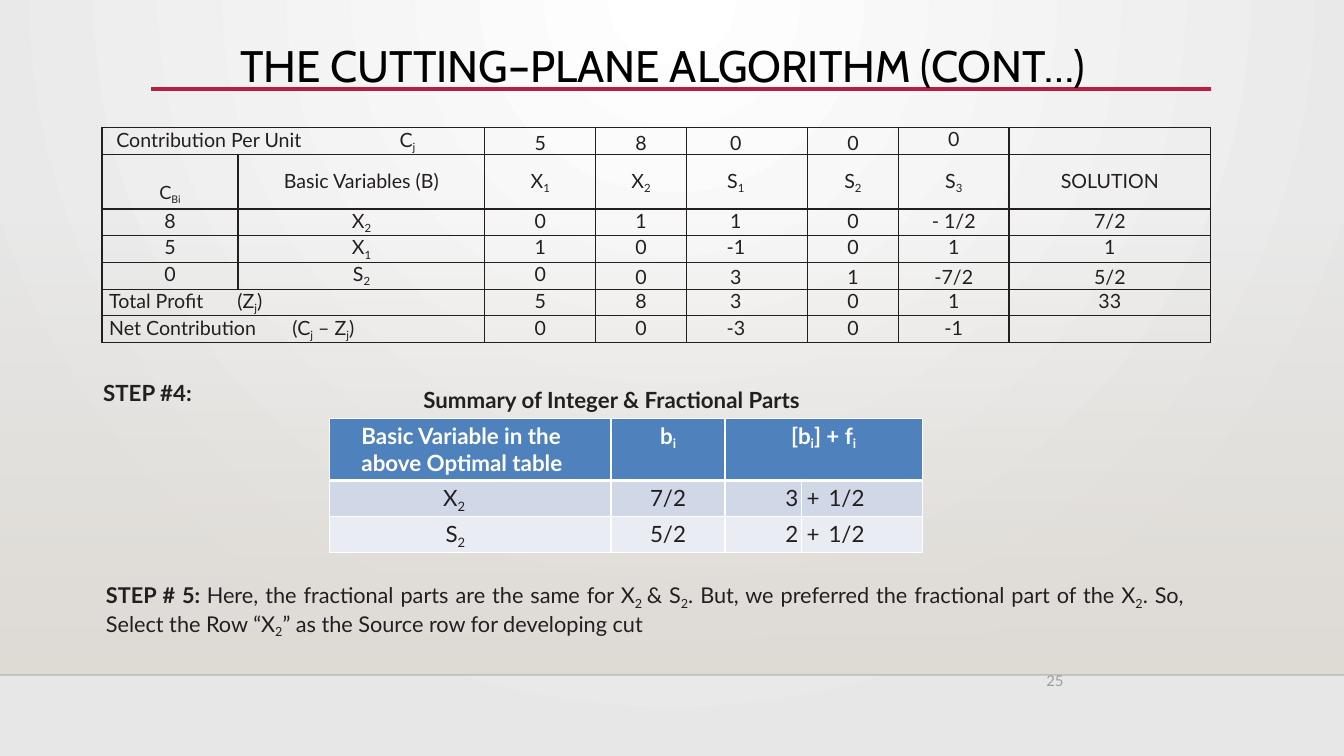
import collections

import pptx
import pptx.dml.color
import pptx.enum.shapes
import pptx.enum.text
import pptx.oxml
import pptx.oxml.ns
import pptx.util

Cm, Pt, qn = pptx.util.Cm, pptx.util.Pt, pptx.oxml.ns.qn
ALIGN = pptx.enum.text.PP_ALIGN
Box = collections.namedtuple("Box", "left top width height")
INK, WHITE = "231F20", "FFFFFF"
NS = 'xmlns:a="http://schemas.openxmlformats.org/drawingml/2006/main"'


def rgb(value):
    return pptx.dml.color.RGBColor.from_string(value)


def set_insets(holder, left, top, right, bottom):
    """Set the margins of a text frame or a table cell."""
    holder.margin_left, holder.margin_top = Cm(left), Cm(top)
    holder.margin_right, holder.margin_bottom = Cm(right), Cm(bottom)


def write(tf, text, size=14, font="Lato", color=INK, bold=False, lead="",
          align=ALIGN.LEFT, tab=None, line=None):
    """Fill tf; ~ marks off subscripts, lead is a bold opening."""
    tf.word_wrap = True
    p = tf.paragraphs[0]
    p.alignment = align
    if line:
        p.line_spacing = Pt(line)
    if tab:
        p._p.get_or_add_pPr().append(pptx.oxml.parse_xml(
            f'<a:tabLst {NS}><a:tab pos="{Cm(tab)}" algn="l"/></a:tabLst>'))
    pieces = [(lead, False, True)]
    pieces += [(part, i % 2 == 1, bold) for i, part in enumerate(text.split("~"))]
    for part, is_sub, is_bold in pieces:
        if not part:
            continue
        r = p.add_run()
        r.text = part
        r.font.name, r.font.size, r.font.bold = font, Pt(size), is_bold
        r.font.color.rgb = rgb(color)
        if is_sub:
            r.font._element.set("baseline", "-21000")
    p._p.append(pptx.oxml.parse_xml(f'<a:endParaRPr {NS} sz="{round(size * 100)}"/>'))


def add_text(s, box, text, left=0.03, right=0, **fmt):
    tf = s.shapes.add_textbox(*map(Cm, box)).text_frame
    set_insets(tf, left, 0.03, right, 0)
    write(tf, text, **fmt)


def add_line(s, left, right, y, color, width, alpha=100):
    sp = s.shapes.add_connector(pptx.enum.shapes.MSO_CONNECTOR.STRAIGHT,
                                Cm(left), Cm(y), Cm(right), Cm(y))
    sp.line.color.rgb, sp.line.width = rgb(color), Pt(width)
    sp._element.spPr.find(".//" + qn("a:srgbClr")).append(
        pptx.oxml.parse_xml(f'<a:alpha {NS} val="{alpha * 1000}"/>'))
    sp._element.spPr.append(pptx.oxml.parse_xml(f"<a:effectLst {NS}/>"))


def gradient(start, end, direction, start_alpha=100):
    return pptx.oxml.parse_xml(
        f'<a:gradFill {NS} rotWithShape="1"><a:gsLst>'
        f'<a:gs pos="0"><a:srgbClr val="{start}"><a:alpha val="{start_alpha * 1000}"/></a:srgbClr></a:gs>'
        f'<a:gs pos="100000"><a:srgbClr val="{end}"/></a:gs></a:gsLst>{direction}</a:gradFill>')


def add_backdrop(s, box):
    s.background.fill.solid()
    bg = s._element.find(".//" + qn("p:bgPr"))
    glow = ('<a:path path="circle"><a:fillToRect l="43000" t="0" r="43000" b="100000"/>'
            '</a:path>')
    bg.replace(bg[0], gradient(WHITE, "E7E7E7", glow))
    wall = s.shapes.add_shape(pptx.enum.shapes.MSO_SHAPE.RECTANGLE, *map(Cm, box))
    wall.shadow.inherit = False
    wall.line.fill.background()
    wall.fill.background()
    spPr = wall._element.spPr
    spPr.replace(spPr.find(qn("a:noFill")),
                 gradient("DFDBD5", "DFDBD5", '<a:lin ang="5400000" scaled="0"/>', 0))
    add_line(s, box.left, box.left + box.width, box.top + box.height, "000001", 1, 20)


def set_borders(cell, color, **widths):
    """Draw the sides L, R, T and B in the given points; 0 hides a side."""
    tcPr = cell._tc.get_or_add_tcPr()
    for side in "LRTB":
        width = widths.get(side, 1)
        paint = f'<a:solidFill><a:srgbClr val="{color}"/></a:solidFill>' if width else "<a:noFill/>"
        tcPr.append(pptx.oxml.parse_xml(
            f'<a:ln{side} {NS} w="{Pt(width)}">{paint}</a:ln{side}>'))


def add_grid(s, box, widths, heights):
    table = s.shapes.add_table(len(heights), len(widths), *map(Cm, box)).table
    table.first_row = table.horz_banding = False
    for column, width in zip(table.columns, widths):
        column.width = Cm(width)
    for row, height in zip(table.rows, heights):
        row.height = Cm(height)
    return table


def add_simplex_table(s, box):
    rows = [
        ["Contribution Per Unit\tC~j~", None, "5", "8", "0", "0", "0", ""],
        ["C~Bi~", "Basic Variables (B)", "X~1~", "X~2~", "S~1~", "S~2~", "S~3~", "SOLUTION"],
        ["8", "X~2~", "0", "1", "1", "0", "- 1/2", "7/2"],
        ["5", "X~1~", "1", "0", "-1", "0", "1", "1"],
        ["0", "S~2~", "0", "0", "3", "1", "-7/2", "5/2"],
        ["Total Profit\t(Z~j~)", None, "5", "8", "3", "0", "1", "33"],
        ["Net Contribution\t(C~j~ – Z~j~)", None, "0", "0", "-3", "0", "-1", ""],
    ]
    label_tabs = {0: (0.36, 7.14), 5: (0.18, 3.23), 6: (0.18, 4.62)}
    table = add_grid(s, box, [3.43, 6.22, 2.79, 2.29, 3.05, 2.29, 2.79, 5.08],
                     [0.67, 1.38] + [0.67] * 5)
    for i, row in enumerate(rows):
        for j, text in enumerate(row):
            cell = table.cell(i, j)
            set_borders(cell, INK)
            cell.fill.background()
            left, tab = label_tabs.get(i, (0, None)) if j == 0 else (0, None)
            is_corner = (i, j) == (1, 0)
            top = 0.69 if is_corner else 0.38 if i == 1 else 0
            set_insets(cell, left, top, 0.56 if j == 4 else 0, 0)
            if text is None:
                continue
            loose = (i == 0 and j < 6) or (i == 4 and j > 2)
            write(cell.text_frame, text, size=13 if is_corner else 14, tab=tab,
                  align=ALIGN.LEFT if tab else ALIGN.CENTER, line=19.2 if loose else None)
    for i in label_tabs:
        table.cell(i, 0).merge(table.cell(i, 1))


def add_fraction_table(s, box):
    rows = [
        ["Basic Variable in the above Optimal table", "b~i~", "[b~i~] + f~i~", None, None],
        ["X~2~", "7/2", "3", "+", "1/2"],
        ["S~2~", "5/2", "2", "+", "1/2"],
    ]
    fills = ["4F81BD", "D0D7E7", "E9ECF3"]
    aligns = [ALIGN.RIGHT, ALIGN.CENTER, ALIGN.RIGHT, ALIGN.CENTER, ALIGN.LEFT]
    sides = [(0, 3.68), (0, 0), (0, 0.08), (0, 0), (0.1, 0)]
    table = add_grid(s, box, [7.09, 2.87, 1.93, 0.58, 2.46], [1.57, 0.91, 0.91])
    for i, row in enumerate(rows):
        for j, text in enumerate(row):
            cell = table.cell(i, j)
            set_borders(cell, WHITE, T=3 if i == 1 else 1, B=3 if i == 0 else 1,
                        R=0 if j == 3 else 1, L=0 if j == 4 else 1)
            cell.fill.solid()
            cell.fill.fore_color.rgb = rgb(fills[i])
            align, (left, right) = aligns[j], sides[j]
            if i == 0:
                align = ALIGN.CENTER if j else ALIGN.LEFT
                left, right = (0, 0) if j else (0.8, 1)
            set_insets(cell, left, 0.1, right, 0)
            if text is not None:
                write(cell.text_frame, text, size=16, bold=i == 0, align=align,
                      color=INK if i else WHITE)
    table.cell(0, 2).merge(table.cell(0, 4))


def add_title(s, box):
    add_line(s, 3.81, 30.51, box.top + 1.3, "B71E42", 2.5)
    add_text(s, box, "THE CUTTING–PLANE ALGORITHM (CONT…)", size=31.5, font="Cabin",
             color="000000")


def add_steps(s, box):
    """Place both steps and the summary caption in the box."""
    label = {"size": 15.9, "bold": True}
    add_text(s, Box(box.left, box.top, 2.67, 0.71), "STEP #4:", **label)
    add_text(s, Box(box.left + 8.07, box.top + 0.18, 10.95, 0.71),
             "Summary of Integer & Fractional Parts", **label)
    add_text(s, Box(box.left, box.top + 5.1, box.width, 1.35),
             "Here, the fractional parts are the same for X~2 ~& S~2~. But, we preferred the "
             "fractional part of the X~2~. So, Select the Row “X~2~” as the Source row for "
             "developing cut", left=0.1, right=0.4, lead="STEP # 5: ", size=15.5,
             align=ALIGN.JUSTIFY)


def main():
    prs = pptx.Presentation()
    prs.slide_width, prs.slide_height = Cm(33.87), Cm(19.05)
    s = prs.slides.add_slide(prs.slide_layouts[6])
    add_backdrop(s, Box(0, 5.61, 33.87, 11.4))
    add_title(s, Box(6.02, 0.94, 23.98, 1.37))
    add_simplex_table(s, Box(2.57, 3.21, 27.94, 5.4))
    add_fraction_table(s, Box(8.31, 10.54, 14.93, 3.39))
    add_steps(s, Box(2.57, 9.53, 27.66, 6.45))
    add_text(s, Box(26.34, 16.89, 0.6, 0.48), "25", size=10.6, color="9A9D9F")
    prs.save("out.pptx")


if __name__ == "__main__":
    main()
